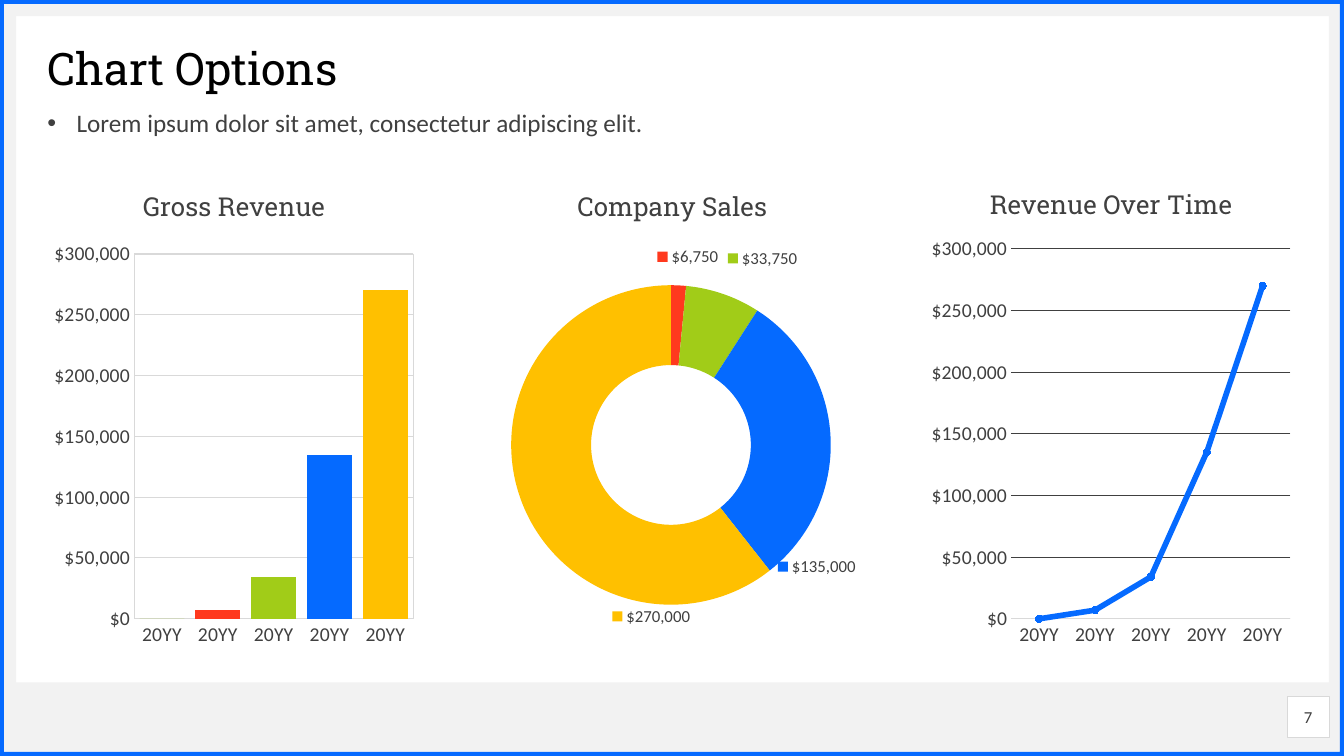
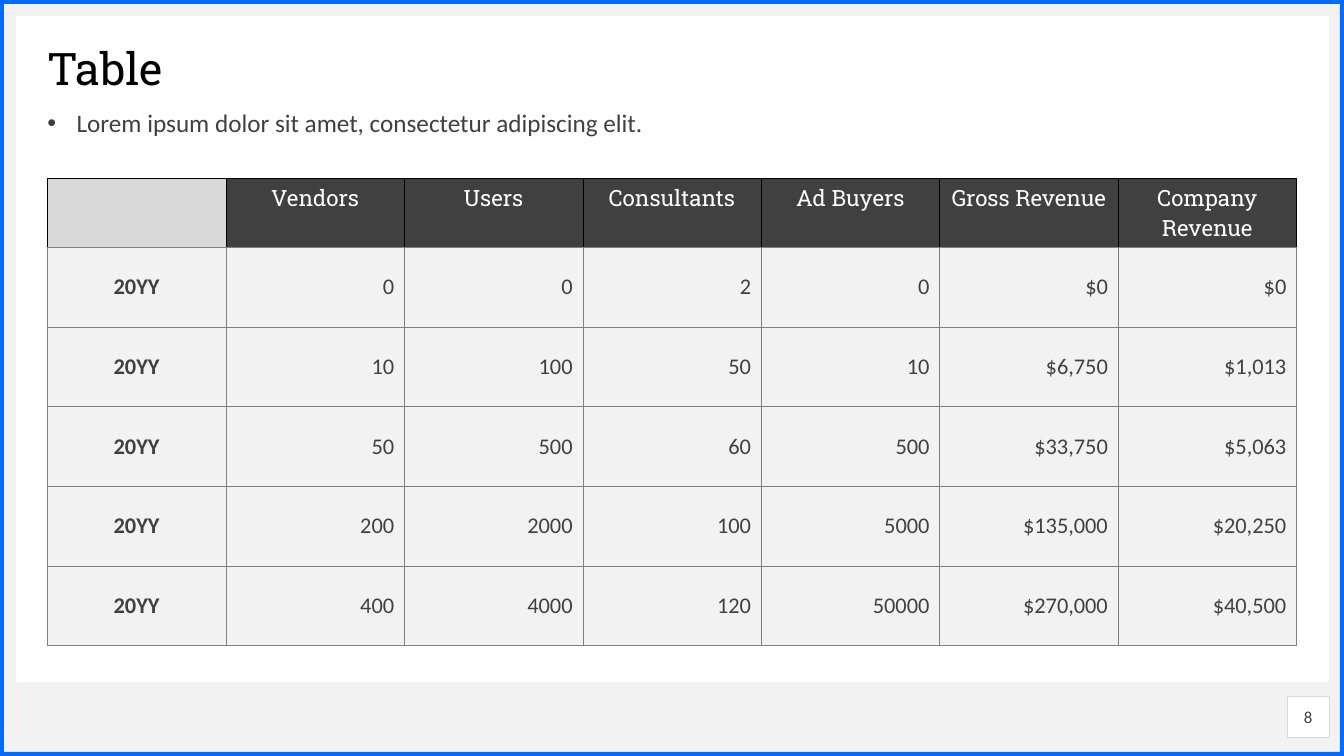
from copy import deepcopy
from dataclasses import dataclass

from lxml import etree
from pptx import Presentation
from pptx import util as u
from pptx.chart.data import CategoryChartData
from pptx.dml.color import RGBColor
from pptx.enum import chart as charts
from pptx.enum import shapes, text
from pptx.oxml.ns import qn

Inches, Pt = u.Inches, u.Pt


@dataclass(frozen=True)
class Theme:
    # Colours
    black: str = "000000"
    ink: str = "404040"
    white: str = "FFFFFF"
    band: str = "F2F2F2"
    rule: str = "D9D9D9"
    border: str = "808080"
    blue: str = "056AFF"
    red: str = "FF391E"
    green: str = "A1CC18"
    gold: str = "FFC000"
    # Fonts
    head: str = "Roboto Slab"
    body: str = "Calibri"
    # Type sizes
    title: float = 32
    chart_title: float = 18.6
    bullet: float = 18
    cell: float = 16
    axis: float = 14
    small: float = 12
    chart_base: float = 10


T = Theme()
WIDTH, HEIGHT = 13.33, 7.5
MARGIN, CONTENT_W = 0.47, 12.4
CHART_W, CHART_H = 3.71, 4.86
MONEY = "[$$-409]#,##0"
POINT_COLORS = [T.green, T.red, T.green, T.blue, T.gold]


def rgb(color):
    return RGBColor.from_string(color)


def style_font(font, size, name=T.body, color=T.ink, bold=False):
    font.size, font.name, font.bold = Pt(size), name, bold
    font.color.rgb = rgb(color)


def paint(fmt, color):
    fmt.fill.solid()
    fmt.fill.fore_color.rgb = rgb(color)


def stroke(line, color, width):
    line.color.rgb = rgb(color)
    line.width = Pt(width)


def add_run(p, words, size, **font):
    r = p.add_run()
    r.text = words
    style_font(r.font, size, **font)


def prepare(tf, anchor):
    tf.margin_left = tf.margin_right = tf.margin_top = tf.margin_bottom = 0
    tf.vertical_anchor = anchor
    tf.word_wrap = True
    tf.auto_size = text.MSO_AUTO_SIZE.NONE
    return tf.paragraphs[0]


def chart_layout(**values):
    """Manual chart layout; values are fractions of the chart."""
    layout = etree.Element(qn("c:layout"))
    manual = etree.SubElement(layout, qn("c:manualLayout"))
    for tag, value in values.items():
        etree.SubElement(manual, qn(f"c:{tag}")).set("val", str(value))
    return layout


def set_layout(parent, index, layout):
    for old in parent.findall(qn("c:layout")):
        parent.remove(old)
    parent.insert(index, layout)


class Deck:
    def __init__(self, prs, first_number):
        self.prs, self.number = prs, first_number
        self.s = None

    # Slide furniture
    def slide(self, title, bullet):
        self.s = self.prs.slides.add_slide(self.prs.slide_layouts[1])
        for box in ((0, 6.77, WIDTH, 0.73), (0, 0, WIDTH, 0.16),
                    (0, 0.1, 0.16, 7.25), (13.18, 0.1, 0.16, 7.25)):
            self.rect(box, T.band)
        self.frame(0.04)
        self.heading(title)
        self.bullet(bullet)
        self.page_number()

    def plain(self, sp, fill):
        sp.shadow.inherit = False
        paint(sp, fill)
        sp.line.fill.background()
        return sp

    def rect(self, box, fill):
        sp = self.s.shapes.add_shape(shapes.MSO_SHAPE.RECTANGLE, *map(Inches, box))
        return self.plain(sp, fill)

    def frame(self, edge):
        """Border outline: the inner contour runs the opposite way."""
        w, h, e = Inches(WIDTH), Inches(HEIGHT), Inches(edge)
        b = self.s.shapes.build_freeform(0, 0, scale=1.0)
        b.add_line_segments([(w, 0), (w, h), (0, h)])
        b.move_to(e, e)
        b.add_line_segments([(e, h - e), (w - e, h - e), (w - e, e)])
        self.plain(b.convert_to_shape(), T.blue)

    def placeholder(self, index, top, height, anchor):
        sp = self.s.placeholders[index]
        sp.left, sp.top = Inches(MARGIN), Inches(top)
        sp.width, sp.height = Inches(CONTENT_W), Inches(height)
        p = prepare(sp.text_frame, anchor)
        p.alignment = text.PP_ALIGN.LEFT
        p.line_spacing = 0.9
        return p

    def heading(self, words):
        p = self.placeholder(0, 0.47, 0.47, text.MSO_ANCHOR.MIDDLE)
        add_run(p, words, T.title, name=T.head, color=T.black)

    def bullet(self, words):
        p = self.placeholder(1, 1.1, 0.39, text.MSO_ANCHOR.TOP)
        p.space_before = Pt(10)
        add_run(p, words, T.bullet)
        props = p._p.get_or_add_pPr()
        props.set("marL", str(Inches(0.29)))
        props.set("indent", str(-Inches(0.29)))
        etree.SubElement(props, qn("a:buChar")).set("char", "•")

    def page_number(self):
        sp = self.rect((12.77, 6.91, 0.41, 0.4), T.white)
        stroke(sp.line, T.rule, 0.25)
        p = prepare(sp.text_frame, text.MSO_ANCHOR.MIDDLE)
        p.alignment = text.PP_ALIGN.CENTER
        add_run(p, str(self.number), T.small)
        self.number += 1

    # Charts
    def chart(self, kind, left, title, title_at, plot_box, cats, vals):
        """title_at and plot_box are inches from the chart's corner."""
        data = CategoryChartData()
        data.categories = cats
        data.add_series("Series 1", vals)
        box = map(Inches, (left, 1.65, CHART_W, CHART_H))
        chart = self.s.shapes.add_chart(kind, *box, data).chart
        style_font(chart.font, T.chart_base, color=T.black)
        chart.has_legend = False
        chart.has_title = True
        heading = chart.chart_title
        add_run(heading.text_frame.paragraphs[0], title, T.chart_title, name=T.head)
        heading.include_in_layout = False
        x, y = title_at
        set_layout(heading._element, 1, chart_layout(
            xMode="edge", yMode="edge", x=x / CHART_W, y=y / CHART_H))
        x, y, w, h = plot_box
        set_layout(chart.element.find(".//" + qn("c:plotArea")), 0, chart_layout(
            layoutTarget="inner", xMode="edge", yMode="edge",
            x=x / CHART_W, y=y / CHART_H, w=w / CHART_W, h=h / CHART_H))
        return chart

    def axes(self, chart, grid):
        for axis in (chart.category_axis, chart.value_axis):
            axis.major_tick_mark = axis.minor_tick_mark = charts.XL_TICK_MARK.NONE
            style_font(axis.tick_labels.font, T.axis)
        stroke(chart.category_axis.format.line, T.rule, 0.75)
        value = chart.value_axis
        value.minimum_scale, value.maximum_scale, value.major_unit = 0, 300000, 50000
        value.format.line.fill.background()
        value.has_major_gridlines = True
        stroke(value.major_gridlines.format.line, grid, 0.75)
        value.tick_labels.number_format = MONEY
        value.tick_labels.number_format_is_linked = False

    def plot_border(self, chart, color):
        area = chart.element.find(".//" + qn("c:plotArea"))
        props = etree.SubElement(area, qn("c:spPr"))
        line = etree.SubElement(props, qn("a:ln"), w=str(Pt(0.75)))
        fill = etree.SubElement(line, qn("a:solidFill"))
        etree.SubElement(fill, qn("a:srgbClr"), val=color)

    def color_points(self, series):
        for i, color in enumerate(POINT_COLORS):
            fmt = series.points[i].format
            paint(fmt, color)
            fmt.line.fill.background()

    def ring_labels(self, series, offsets):
        """Shift each label by a fraction of the chart; None hides it."""
        labels = series.data_labels
        style_font(labels.font, T.small)
        labels.number_format, labels.number_format_is_linked = MONEY, False
        labels.show_value = labels.show_legend_key = True
        root = labels._element
        leader = root.find(qn("c:showLeaderLines"))
        if leader is not None:
            leader.set("val", "0")
        shared = [child for child in root if child is not leader]
        for i, offset in enumerate(offsets):
            label = etree.Element(qn("c:dLbl"))
            etree.SubElement(label, qn("c:idx")).set("val", str(i))
            if offset is None:
                etree.SubElement(label, qn("c:delete")).set("val", "1")
            else:
                label.append(chart_layout(x=offset[0], y=offset[1]))
                label.extend(deepcopy(child) for child in shared)
            root.insert(i, label)

    # Table
    def cell(self, cell, words, fill, align, edge, anchor, **font):
        props = cell._tc.get_or_add_tcPr()
        for side in "LRTB":
            line = etree.SubElement(props, qn(f"a:ln{side}"), w=str(Pt(0.25)))
            solid = etree.SubElement(line, qn("a:solidFill"))
            color = T.border if side == "B" else edge
            etree.SubElement(solid, qn("a:srgbClr"), val=color)
        paint(cell, fill)
        cell.vertical_anchor = anchor
        p = cell.text_frame.paragraphs[0]
        p.alignment = align
        if words:
            add_run(p, words, T.cell, **font)

    def table(self, header, rows, box, header_h, row_h):
        table = self.s.shapes.add_table(
            len(rows) + 1, len(header), *map(Inches, box)).table
        table.first_row = table.horz_banding = False
        for col in table.columns:
            col.width = Inches(box[2] / len(header))
        for i, row in enumerate(table.rows):
            row.height = Inches(row_h if i else header_h)
        center, right = text.PP_ALIGN.CENTER, text.PP_ALIGN.RIGHT
        for c, words in enumerate(header):
            self.cell(table.cell(0, c), words, T.ink if words else T.rule, center,
                      T.black, text.MSO_ANCHOR.TOP, name=T.head, color=T.white)
        for r, row in enumerate(rows, 1):
            for c, words in enumerate(row):
                self.cell(table.cell(r, c), words, T.band, right if c else center,
                          T.border, text.MSO_ANCHOR.MIDDLE, bold=c == 0)


def chart_slide(deck, bullet):
    deck.slide("Chart Options", bullet)
    kinds = charts.XL_CHART_TYPE
    lefts = [MARGIN + i * 4.35 for i in range(3)]
    years, revenue = ["20YY"] * 5, [0, 7000, 34000, 135000, 270000]

    # Columns
    chart = deck.chart(kinds.COLUMN_CLUSTERED, lefts[0], "Gross Revenue",
                       (0.9, 0.15), (0.86, 0.87, 2.77, 3.62), years, revenue)
    deck.axes(chart, T.rule)
    deck.plot_border(chart, T.rule)
    plot = chart.plots[0]
    plot.gap_width, plot.vary_by_categories = 25, False
    deck.color_points(plot.series[0])

    # Ring
    chart = deck.chart(kinds.DOUGHNUT, lefts[1], "Company Sales",
                       (0.86, 0.15), (0.25, 1.18, 3.17, 3.17),
                       list("12345"), [0, 6750, 33750, 135000, 270000])
    series = chart.plots[0].series[0]
    deck.color_points(series)
    deck.ring_labels(series, [None, (0.03, -0.14), (0.14, -0.15),
                              (0.07, 0.26), (0.25, 0.27)])

    # Line
    chart = deck.chart(kinds.LINE_MARKERS_STACKED, lefts[2], "Revenue Over Time",
                       (0.6, 0.13), (0.86, 0.82, 2.77, 3.67), years, revenue)
    deck.axes(chart, T.ink)
    chart.plots[0].vary_by_categories = False
    series = chart.plots[0].series[0]
    series.smooth = False
    stroke(series.format.line, T.blue, 4)
    series.marker.style, series.marker.size = charts.XL_MARKER_STYLE.CIRCLE, 5
    paint(series.marker.format, T.blue)
    series.marker.format.line.fill.background()


def table_slide(deck, bullet):
    deck.slide("Table", bullet)
    header = ["", "Vendors", "Users", "Consultants", "Ad Buyers",
              "Gross Revenue", "Company Revenue"]
    rows = [["20YY", *figures.split()] for figures in (
        "0 0 2 0 $0 $0",
        "10 100 50 10 $6,750 $1,013",
        "50 500 60 500 $33,750 $5,063",
        "200 2000 100 5000 $135,000 $20,250",
        "400 4000 120 50000 $270,000 $40,500")]
    deck.table(header, rows, (MARGIN, 1.77, 12.39, 4.61), 0.67, 0.79)


def main():
    prs = Presentation()
    prs.slide_width, prs.slide_height = Inches(WIDTH), Inches(HEIGHT)
    deck = Deck(prs, first_number=7)
    bullet = "Lorem ipsum dolor sit amet, consectetur adipiscing elit."
    chart_slide(deck, bullet)
    table_slide(deck, bullet)
    prs.save("out.pptx")


if __name__ == "__main__":
    main()
